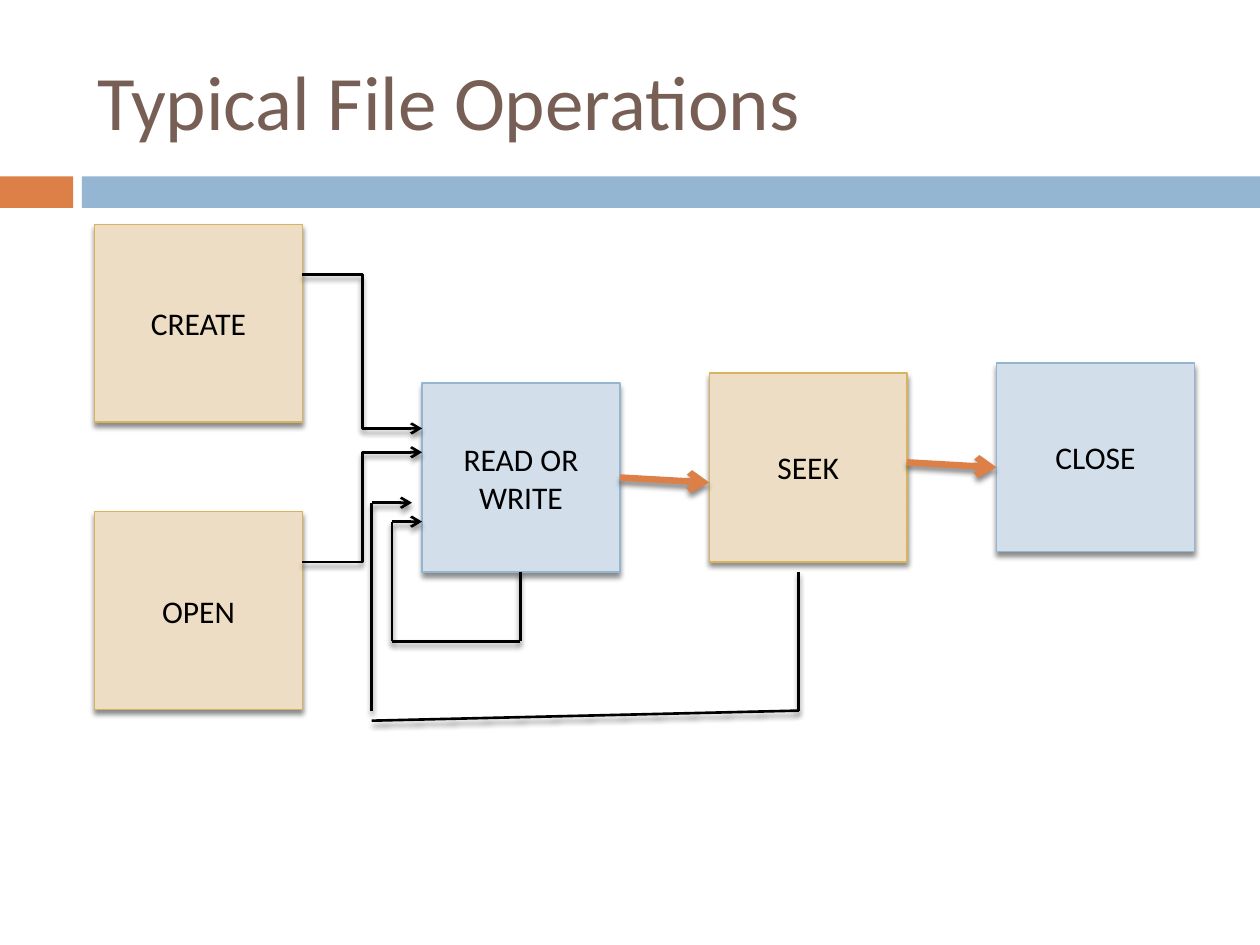
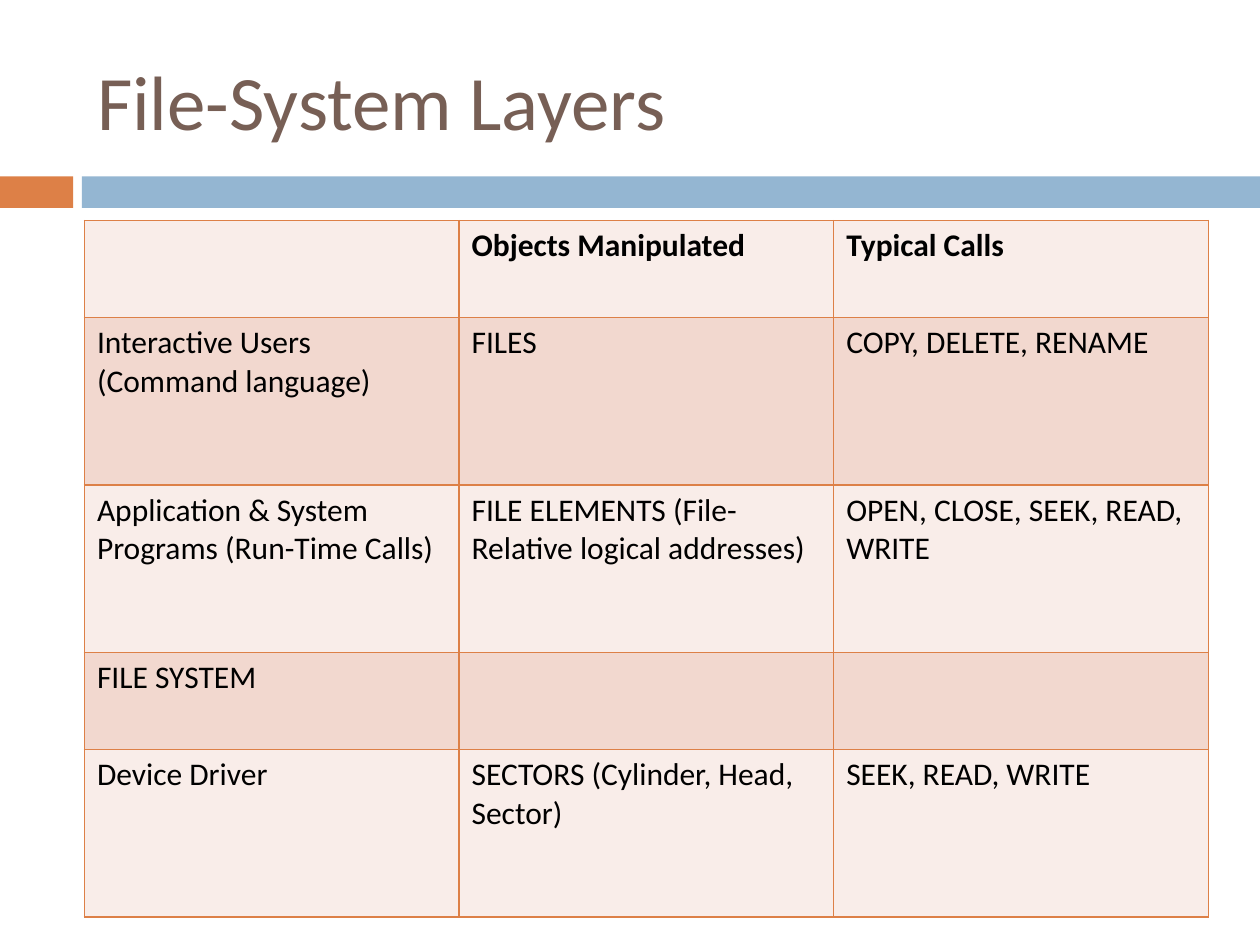
from pptx import Presentation
from pptx.dml.color import RGBColor
from pptx.enum.shapes import MSO_CONNECTOR, MSO_SHAPE
from pptx.enum.text import MSO_ANCHOR, MSO_AUTO_SIZE, PP_ALIGN
from pptx.oxml import parse_xml
from pptx.oxml.ns import nsdecls
from pptx.util import Inches, Pt

# Shared look
ORANGE, BLUE, GOLD, BROWN, BLACK = "DD8047", "94B6D2", "D8B25C", "775F55", "000000"
SAND, PALE_BLUE = "EDDDC4", "D2DEEA"
ROW_FILLS = ["F9EDE9", "F2D8CF"]
TITLE_AREA = (0.67, 0.25, 8.92, 1.08)
BANDS = [((0, 1.4, 0.58, 0.25), ORANGE), ((0.65, 1.4, 9.35, 0.25), BLUE)]
TITLE_FONT = {"name": "Calibri", "size": Pt(44), "bold": False}
BODY_FONT = {"name": "Calibri", "size": Pt(18), "bold": False}
HEADER_FONT = {**BODY_FONT, "bold": True}

# Slide 1: operations and the paths between them
OPERATIONS_TITLE = "Typical File Operations"
STARTS = ["CREATE", "OPEN"]
STEPS = [("READ OR WRITE", PALE_BLUE, BLUE), ("SEEK", SAND, GOLD), ("CLOSE", PALE_BLUE, BLUE)]
STEP_PITCH = 2.28
STEP_RISE = 0.08
START_PATHS = [((2.4, 2.18), (3.35, 3.4)), ((2.4, 4.46), (3.35, 3.59))]
# Each loop is a list of strokes; the last stroke ends in an arrowhead
REPEAT_LOOP = [((4.13, 4.54), (4.13, 5.09)), ((4.13, 5.09), (3.11, 5.09)),
               ((3.11, 5.09), (3.11, 4.14)), ((3.11, 4.14), (3.35, 4.14))]
SEEK_LOOP = [((6.34, 4.54), (6.34, 5.64)), ((6.34, 5.64), (2.95, 5.72)),
             ((2.95, 5.64), (2.95, 3.99)), ((2.95, 3.99), (3.27, 3.99))]

# Slide 2: layers
LAYERS_TITLE = "File-System Layers"
LAYERS = [
    ("", "Objects Manipulated", "Typical Calls"),
    ("Interactive Users (Command language)", "FILES", "COPY, DELETE, RENAME"),
    ("Application & System Programs (Run-Time Calls)",
     "FILE ELEMENTS (File-Relative logical addresses)", "OPEN, CLOSE, SEEK, READ, WRITE"),
    ("FILE SYSTEM", "", ""),
    ("Device Driver", "SECTORS (Cylinder, Head, Sector)", "SEEK, READ, WRITE"),
]
LAYER_HEIGHTS = [0.77, 1.33, 1.33, 0.77, 1.33]
LAYERS_AREA = (0.67, 1.75, 8.92, sum(LAYER_HEIGHTS))


def rgb(color):
    return RGBColor.from_string(color)


def inches(values):
    return [Inches(value) for value in values]


def style_font(font, formats, color):
    for name, value in formats.items():
        setattr(font, name, value)
    font.color.rgb = rgb(color)


def add_shadow(item):
    item._element.spPr.append(parse_xml(
        f'<a:effectLst {nsdecls("a")}><a:outerShdw blurRad="{Pt(3)}" dist="{Pt(2.4)}" '
        f'dir="5400000" rotWithShape="0"><a:srgbClr val="{BLACK}"><a:alpha val="45000"/>'
        '</a:srgbClr></a:outerShdw></a:effectLst>'))


def add_titled_slide(deck, title):
    slide = deck.slides.add_slide(deck.slide_layouts[5])
    heading = slide.shapes.title
    heading.left, heading.top, heading.width, heading.height = inches(TITLE_AREA)
    frame = heading.text_frame
    frame.text = title
    frame.auto_size = MSO_AUTO_SIZE.NONE
    frame.vertical_anchor = MSO_ANCHOR.MIDDLE
    frame.paragraphs[0].alignment = PP_ALIGN.LEFT
    style_font(frame.paragraphs[0].runs[0].font, TITLE_FONT, BROWN)
    for area, color in BANDS:
        band = slide.shapes.add_shape(MSO_SHAPE.RECTANGLE, *inches(area))
        band.shadow.inherit = False
        band.fill.solid()
        band.fill.fore_color.rgb = rgb(color)
        band.line.fill.background()
    return slide


def add_operation(slide, label, area, fill, outline):
    operation = slide.shapes.add_shape(MSO_SHAPE.RECTANGLE, *inches(area))
    operation.fill.solid()
    operation.fill.fore_color.rgb = rgb(fill)
    operation.line.color.rgb = rgb(outline)
    operation.line.width = Pt(0.79)
    add_shadow(operation)
    frame = operation.text_frame
    frame.text = label
    frame.word_wrap = True
    frame.vertical_anchor = MSO_ANCHOR.MIDDLE
    frame.paragraphs[0].alignment = PP_ALIGN.CENTER
    style_font(frame.paragraphs[0].runs[0].font, BODY_FONT, BLACK)


def add_stroke(slide, start, end, arrow=True, kind=MSO_CONNECTOR.STRAIGHT,
               color=BLACK, width=1.5):
    stroke = slide.shapes.add_connector(kind, *inches(start + end))
    stroke.line.color.rgb = rgb(color)
    stroke.line.width = Pt(width)
    if arrow:
        stroke.line._get_or_add_ln().append(
            parse_xml(f'<a:tailEnd {nsdecls("a")} type="arrow"/>'))
    add_shadow(stroke)


def add_borders(cell, color):
    properties = cell._tc.get_or_add_tcPr()
    for position, side in enumerate("LRTB"):
        properties.insert(position, parse_xml(
            f'<a:ln{side} {nsdecls("a")} w="{Pt(1)}"><a:solidFill>'
            f'<a:srgbClr val="{color}"/></a:solidFill></a:ln{side}>'))


def build_operations(deck):
    slide = add_titled_slide(deck, OPERATIONS_TITLE)
    for i, label in enumerate(STARTS):
        add_operation(slide, label, (0.75, 1.78 + i * STEP_PITCH, 1.65, 1.57), SAND, GOLD)
    for i, (label, fill, outline) in enumerate(STEPS):
        area = (3.35 + i * STEP_PITCH, 3.04 - i * STEP_RISE, 1.57, 1.5)
        add_operation(slide, label, area, fill, outline)

    for start, end in START_PATHS:
        add_stroke(slide, start, end, kind=MSO_CONNECTOR.ELBOW)
    for loop in (REPEAT_LOOP, SEEK_LOOP):
        for start, end in loop:
            add_stroke(slide, start, end, arrow=(start, end) == loop[-1])
    # Arrows from each step to the next
    for i in range(len(STEPS) - 1):
        left, top = 4.92 + i * STEP_PITCH, 3.79 - i * 0.12
        add_stroke(slide, (left, top), (left + 0.71, top + 0.04), color=ORANGE, width=3.75)


def build_layers(deck):
    slide = add_titled_slide(deck, LAYERS_TITLE)
    layers = slide.shapes.add_table(len(LAYERS), len(LAYERS[0]), *inches(LAYERS_AREA)).table
    layers.first_row = layers.horz_banding = False
    for r, (texts, height) in enumerate(zip(LAYERS, LAYER_HEIGHTS)):
        layers.rows[r].height = Inches(height)
        for c, text in enumerate(texts):
            cell = layers.cell(r, c)
            cell.fill.solid()
            cell.fill.fore_color.rgb = rgb(ROW_FILLS[r % 2])
            add_borders(cell, ORANGE)
            cell.text = text
            style_font(cell.text_frame.paragraphs[0].font,
                       BODY_FONT if r else HEADER_FONT, BLACK)


def main():
    deck = Presentation()
    deck.slide_width, deck.slide_height = Inches(10), Inches(7.5)
    build_operations(deck)
    build_layers(deck)
    deck.save("out.pptx")


if __name__ == "__main__":
    main()
